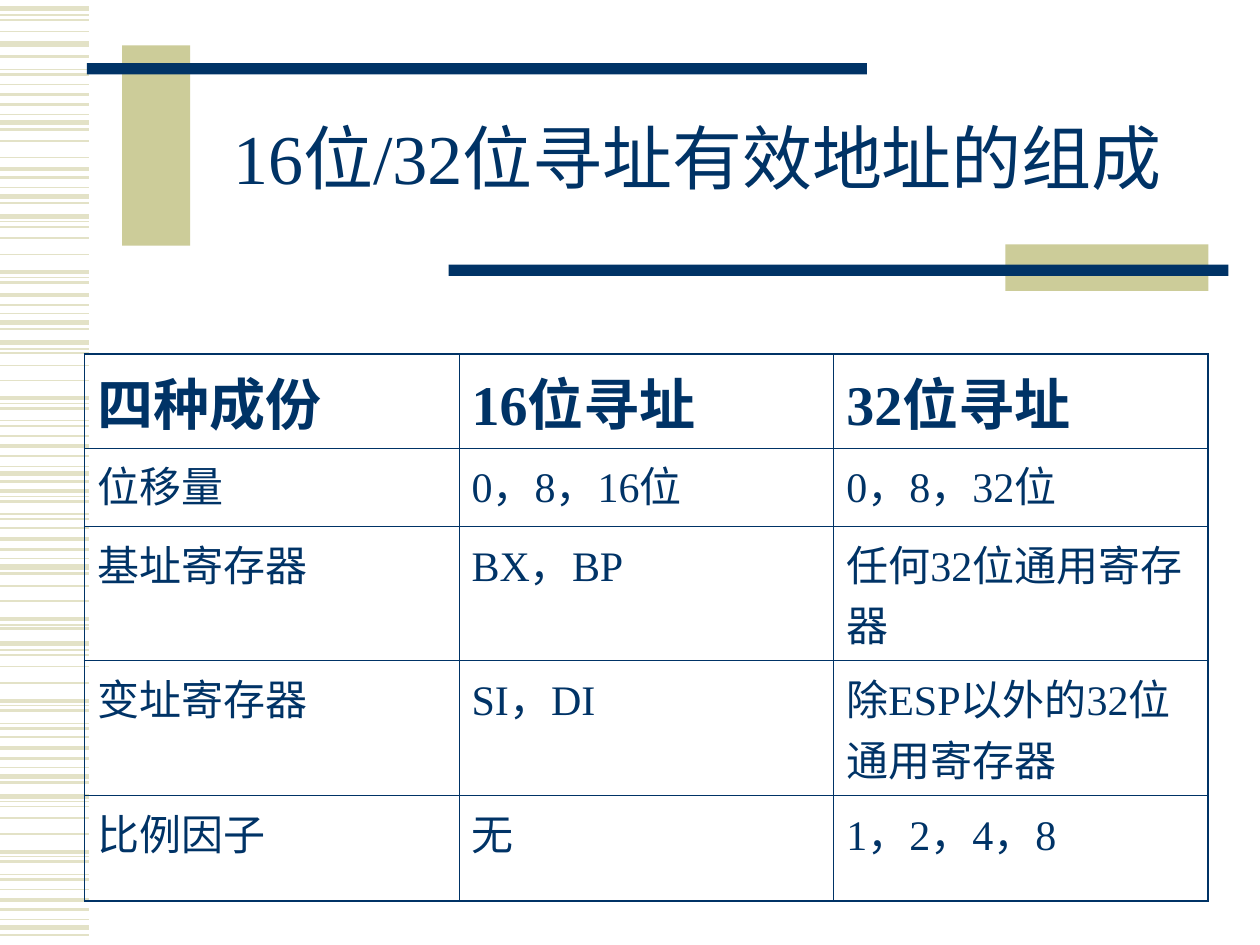
from dataclasses import dataclass

from lxml import etree
from pptx import Presentation
from pptx.dml.color import RGBColor
from pptx.enum.shapes import MSO_CONNECTOR, MSO_SHAPE
from pptx.enum.text import MSO_ANCHOR, PP_ALIGN
from pptx.oxml.ns import qn
from pptx.util import Inches, Pt

RECTANGLE = MSO_SHAPE.RECTANGLE
STRAIGHT = MSO_CONNECTOR.STRAIGHT
TITLE_ONLY = 5


@dataclass(frozen=True)
class Theme:
    navy: str = "003366"
    khaki: str = "CCCC99"
    stripe: str = "E3E2C7"
    font: str = "Times New Roman"
    title_size: int = 40
    header_size: int = 32
    body_size: int = 24
    outer_border: float = 1.08
    inner_border: float = 0.45


THEME = Theme()

TITLE = "16位/32位寻址有效地址的组成"
TITLE_BOX = (1.5, 0.67, 8.07, 1.25)

ADDRESSING = [
    ("四种成份", "16位寻址", "32位寻址"),
    ("位移量", "0，8，16位", "0，8，32位"),
    ("基址寄存器", "BX，BP", "任何32位通用寄存器"),
    ("变址寄存器", "SI，DI", "除ESP以外的32位通用寄存器"),
    ("比例因子", "无", "1，2，4，8"),
]
TABLE_BOX = (0.67, 2.81, 8.92, 3.9)
ROW_HEIGHTS = (0.64, 0.62, 0.9, 0.9, 0.84)

# Left-margin stripes: line weight in points -> heights on the slide
STRIPE_LENGTH = 0.71
STRIPES = {
    3: (0.07, 0.35, 0.97, 1.56, 1.72, 2.56, 2.72, 3.76, 4.5, 5.11, 6.16,
        6.32, 7.36),
    2.25: (0.75, 1.34, 2.16, 2.34, 3.16, 3.54, 3.9, 4.28, 4.91, 5.56, 5.94,
           6.76, 7.14),
    1.5: (0.45, 0.59, 0.83, 1.03, 1.41, 1.61, 2.24, 2.42, 2.61, 3.24, 3.38,
          3.62, 3.82, 3.98, 4.12, 4.36, 4.55, 4.99, 5.64, 5.78, 6.02, 6.21,
          6.84, 6.98, 7.22, 7.42),
    1: (0.16, 0.25, 0.67, 1.12, 1.25, 1.8, 1.89, 2.02, 2.8, 2.9, 3.02, 3.46,
        4.19, 4.65, 4.77, 5.2, 5.29, 5.42, 5.85, 6.4, 6.49, 6.62, 7.06),
    0.75: (0.12, 0.55, 0.91, 1.49, 1.76, 2.2, 2.49, 2.77, 3.2, 3.34, 3.7,
           3.94, 4.08, 4.43, 4.96, 5.16, 5.6, 5.74, 6.09, 6.36, 6.8, 6.94,
           7.3),
}

BAR_SIZE = (6.19, 0.09)
TITLE_FRAME = [
    ((0.97, 0.36, 0.54, 1.59), THEME.khaki),
    ((0.69, 0.5, *BAR_SIZE), THEME.navy),
    ((7.98, 1.94, 1.61, 0.37), THEME.khaki),
    ((3.56, 2.1, *BAR_SIZE), THEME.navy),
]


def rgb(value):
    return RGBColor.from_string(value)


def inches(box):
    return [Inches(length) for length in box]


def write(paragraph, text, size, bold=False, **paragraph_format):
    run = paragraph.add_run()
    run.text = text
    font_format = {"name": THEME.font, "size": Pt(size), "bold": bold}
    for attribute, value in font_format.items():
        setattr(run.font, attribute, value)
    run.font.color.rgb = rgb(THEME.navy)
    for attribute, value in paragraph_format.items():
        setattr(paragraph, attribute, value)


def add_stripes(slide):
    for weight, heights in STRIPES.items():
        for height in heights:
            y = Inches(height)
            stripe = slide.shapes.add_connector(
                STRAIGHT, 0, y, Inches(STRIPE_LENGTH), y)
            stripe.line.color.rgb = rgb(THEME.stripe)
            stripe.line.width = Pt(weight)
            etree.SubElement(stripe._element.spPr, qn("a:effectLst"))


def add_title_frame(slide):
    for box, color in TITLE_FRAME:
        bar = slide.shapes.add_shape(RECTANGLE, *inches(box))
        bar.shadow.inherit = False
        bar.fill.solid()
        bar.fill.fore_color.rgb = rgb(color)
        bar.line.fill.background()


def set_title(slide):
    """Fill the title placeholder and bring it in front of its frame."""
    title = slide.shapes.title
    title.left, title.top, title.width, title.height = inches(TITLE_BOX)
    title.text_frame.vertical_anchor = MSO_ANCHOR.MIDDLE
    write(title.text_frame.paragraphs[0], TITLE, THEME.title_size,
          alignment=PP_ALIGN.CENTER, line_spacing=0.85)
    slide.shapes._spTree.append(title._element)


def set_borders(cell, outer_edges):
    """Draw the four borders; outer_edges says which lie on the table's rim."""
    properties = cell._tc.get_or_add_tcPr()
    for side, is_outer in outer_edges.items():
        weight = THEME.outer_border if is_outer else THEME.inner_border
        border = etree.SubElement(properties, qn(f"a:ln{side}"),
                                  w=str(int(Pt(weight))))
        fill = etree.SubElement(border, qn("a:solidFill"))
        etree.SubElement(fill, qn("a:srgbClr"), val=THEME.navy)


def add_addressing_table(slide):
    last_row, last_column = len(ADDRESSING) - 1, len(ADDRESSING[0]) - 1
    table = slide.shapes.add_table(
        last_row + 1, last_column + 1, *inches(TABLE_BOX)).table
    table.first_row = table.horz_banding = False
    for row, height in zip(table.rows, ROW_HEIGHTS):
        row.height = Inches(height)
    for r, entries in enumerate(ADDRESSING):
        is_header = r == 0
        size = THEME.header_size if is_header else THEME.body_size
        for c, entry in enumerate(entries):
            cell = table.cell(r, c)
            write(cell.text_frame.paragraphs[0], entry, size, is_header,
                  space_before=Pt(size / 4))
            set_borders(cell, {"L": c == 0, "R": c == last_column,
                               "T": r == 0, "B": r == last_row})
            cell.fill.background()


def main():
    deck = Presentation()
    deck.slide_width, deck.slide_height = Inches(10), Inches(7.5)
    slide = deck.slides.add_slide(deck.slide_layouts[TITLE_ONLY])
    add_stripes(slide)
    add_title_frame(slide)
    set_title(slide)
    add_addressing_table(slide)
    deck.save("out.pptx")


if __name__ == "__main__":
    main()
